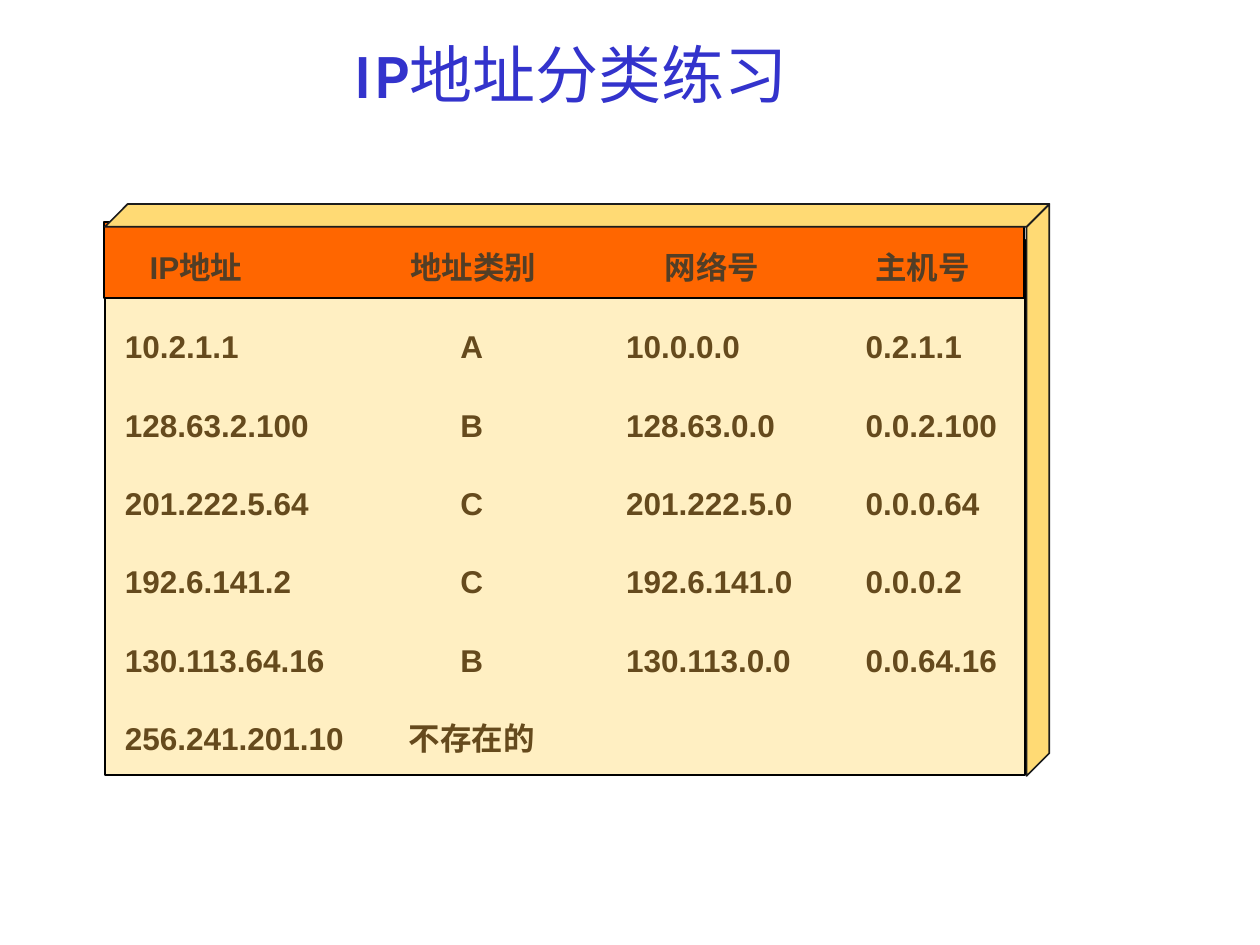
from pptx import Presentation
from pptx.dml.color import RGBColor
from pptx.enum.shapes import MSO_SHAPE
from pptx.enum.text import MSO_ANCHOR, MSO_AUTO_SIZE, PP_ALIGN
from pptx.util import Pt

TITLE = [("IP", True), ("地址分类练习", False)]
HEADERS = ["IP地址", "地址类别", "网络号", "主机号"]
ROWS = [
    ("10.2.1.1", "A", "10.0.0.0", "0.2.1.1"),
    ("128.63.2.100", "B", "128.63.0.0", "0.0.2.100"),
    ("201.222.5.64", "C", "201.222.5.0", "0.0.0.64"),
    ("192.6.141.2", "C", "192.6.141.0", "0.0.0.2"),
    ("130.113.64.16", "B", "130.113.0.0", "0.0.64.16"),
    ("256.241.201.10", "不存在的"),
]
COLORS = {
    "title": "3333CC", "header_text": "523E26", "cell_text": "654A1D",
    "header": "FF6600", "panel": "FFEFC2", "side": "FFDA74",
    "edge": "1C1C1C", "border": "000000",
}

# Column places: left, width, alignment
HEADER_COLUMNS = [(56.9, 110.2), (208.1, 124.6), (350.6, 112.3), (461.5, 131)]
CELL_COLUMNS = [
    (63.4, 145.4, PP_ALIGN.LEFT), (206.6, 126, PP_ALIGN.CENTER),
    (349.9, 113, PP_ALIGN.LEFT), (486.7, 93.6, PP_ALIGN.LEFT),
]
HEADER_TOP, FIRST_ROW_TOP, ROW_STEP, CELL_HEIGHT = 139, 184.3, 44.8, 28.8

# Corners of the raised board
LEFT, RIGHT, TOP, BOTTOM, DEPTH_X, DEPTH_Y = 60, 586.6, 129.6, 443.4, 13, 13


def color(name):
    return RGBColor.from_string(COLORS[name])


def paint(shape, fill, line):
    shape.shadow.inherit = False
    shape.fill.solid()
    shape.fill.fore_color.rgb = color(fill)
    shape.line.color.rgb = color(line)
    shape.line.width = Pt(1)


def add_box(slide, left, top, width, height):
    shape = slide.shapes.add_shape(
        MSO_SHAPE.RECTANGLE, Pt(left), Pt(top), Pt(width), Pt(height))
    return shape


def add_face(slide, corners):
    points = [(Pt(x), Pt(y)) for x, y in corners]
    builder = slide.shapes.build_freeform(*points[0], scale=1.0)
    builder.add_line_segments(points[1:], close=True)
    paint(builder.convert_to_shape(), "side", "edge")


def add_text(slide, place, runs, font_name, size, color_name, margins):
    box = slide.shapes.add_textbox(*[Pt(value) for value in place])
    frame = box.text_frame
    frame.word_wrap = True
    frame.margin_left = frame.margin_right = Pt(margins[0])
    frame.margin_top = frame.margin_bottom = Pt(margins[1])
    paragraph = frame.paragraphs[0]
    for text, bold in runs:
        run = paragraph.add_run()
        run.text = text
        run.font.name = font_name
        run.font.size = Pt(size)
        run.font.bold = bold
        run.font.color.rgb = color(color_name)
    return frame


def add_cell(slide, left, top, width, text, alignment, color_name):
    frame = add_text(slide, (left, top, width, CELL_HEIGHT), [(text, True)],
                     "Arial", 18, color_name, (7.9, 4.3))
    frame.auto_size = MSO_AUTO_SIZE.SHAPE_TO_FIT_TEXT
    frame.paragraphs[0].alignment = alignment
    frame.paragraphs[0].line_spacing = 0.95


def main():
    presentation = Presentation()
    presentation.slide_width, presentation.slide_height = Pt(720), Pt(540)
    slide = presentation.slides.add_slide(presentation.slide_layouts[6])

    # Board: right face, panel, header band, top face
    back_right, back_top = RIGHT + DEPTH_X, TOP - DEPTH_Y
    add_face(slide, [(back_right, back_top), (RIGHT, TOP), (RIGHT, BOTTOM),
                     (back_right, BOTTOM - DEPTH_Y)])
    paint(add_box(slide, 60.2, 136.8, 525.6, 306), "panel", "border")
    paint(add_box(slide, 59.4, 126.7, 525.6, 43.6), "header", "border")
    add_face(slide, [(LEFT, TOP), (LEFT + DEPTH_X, back_top),
                     (back_right, back_top), (RIGHT, TOP)])

    # Column headings
    for (left, width), text in zip(HEADER_COLUMNS, HEADERS):
        add_cell(slide, left, HEADER_TOP, width, text, PP_ALIGN.CENTER, "header_text")

    # Address rows
    for index, row in enumerate(ROWS):
        top = FIRST_ROW_TOP + index * ROW_STEP
        for (left, width, alignment), text in zip(CELL_COLUMNS, row):
            add_cell(slide, left, top, width, text, alignment, "cell_text")

    # Title
    title = add_text(slide, (195.8, 14.4, 317.5, 55.4), TITLE,
                     "Karla", 36, "title", (6.5, 2.9))
    title.vertical_anchor = MSO_ANCHOR.MIDDLE

    presentation.save("out.pptx")


if __name__ == "__main__":
    main()
